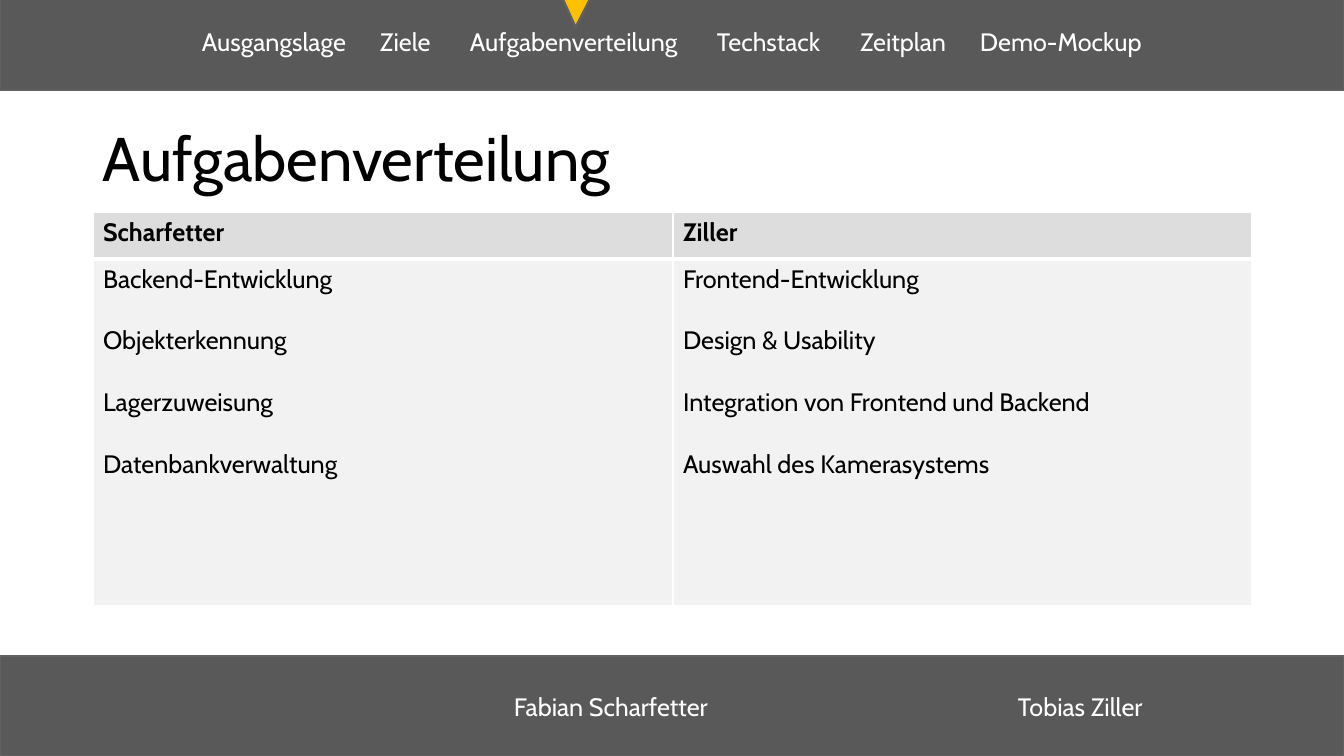
from lxml.etree import SubElement
from pptx import Presentation
from pptx.dml.color import RGBColor
from pptx.enum.shapes import MSO_SHAPE
from pptx.enum.text import MSO_ANCHOR
from pptx.oxml.ns import qn
from pptx.util import Pt

EMU_PER_PX = 914400 / 100.8
FONT = "Cabin"
WHITE, BLACK = "FFFFFF", "000000"
BAR, OUTLINE, MARKER = "595959", "616161", "FFC000"
HEADER_FILL, BODY_FILL = "DDDDDD", "F2F2F2"

# Each label with the px from the left edge where it starts
NAVIGATION = [("Ausgangslage", 202), ("Ziele", 380), ("Aufgabenverteilung", 470),
              ("Techstack", 717), ("Zeitplan", 860), ("Demo-Mockup", 980)]
AUTHORS = [("Fabian Scharfetter", 514), ("Tobias Ziller", 1018)]
TASKS = {
    "Scharfetter": ["Backend-Entwicklung", "Objekterkennung",
                    "Lagerzuweisung", "Datenbankverwaltung"],
    "Ziller": ["Frontend-Entwicklung", "Design & Usability",
               "Integration von Frontend und Backend", "Auswahl des Kamerasystems"],
}


def px(length):
    return round(length * EMU_PER_PX)


def color(value):
    return RGBColor.from_string(value)


def write(frame, lines, size=18, fill=BLACK, bold=False, gap=0, spacing=None):
    """Write one paragraph per line, with gap points between them."""
    frame.word_wrap = True
    for index, line in enumerate(lines):
        paragraph = frame.paragraphs[0] if index == 0 else frame.add_paragraph()
        paragraph.line_spacing = spacing
        paragraph.space_before = Pt(gap if index else 0)
        run = paragraph.add_run()
        run.text = line
        run.font.name = FONT
        run.font.size = Pt(size)
        run.font.bold = bold
        run.font.color.rgb = color(fill)


def add_block(slide, kind, box, fill):
    shape = slide.shapes.add_shape(kind, *map(px, box))
    shape.shadow.inherit = False
    shape.fill.solid()
    shape.fill.fore_color.rgb = color(fill)
    shape.line.color.rgb = color(OUTLINE)
    shape.line.width = Pt(1.5)
    return shape


def add_bar(slide, box, labels):
    """Dark bar whose labels sit on tab stops."""
    frame = add_block(slide, MSO_SHAPE.RECTANGLE, box, BAR).text_frame
    frame.margin_left = frame.margin_right = 0
    frame.vertical_anchor = MSO_ANCHOR.MIDDLE
    write(frame, ["".join("\t" + text for text, _ in labels)], fill=WHITE)
    properties = frame.paragraphs[0]._p.get_or_add_pPr()
    properties.set("algn", "l")
    stops = SubElement(properties, qn("a:tabLst"))
    for _, start in labels:
        SubElement(stops, qn("a:tab"), pos=str(px(start - box[0])), algn="l")


def add_marker(slide, box):
    """Triangle pointing down at the current section."""
    marker = add_block(slide, MSO_SHAPE.ISOSCELES_TRIANGLE, box, MARKER)
    marker.adjustments[0] = 0.53
    marker.rotation = 180


def add_title(slide, box, text):
    frame = slide.shapes.add_textbox(*map(px, box)).text_frame
    frame.vertical_anchor = MSO_ANCHOR.MIDDLE
    write(frame, [text], size=44, spacing=0.9)


def style_cell(cell, fill, borders):
    cell.fill.solid()
    cell.fill.fore_color.rgb = color(fill)
    properties = cell._tc.get_or_add_tcPr()
    for index, (side, width) in enumerate(borders.items()):
        line = SubElement(properties, qn("a:ln" + side), w=str(Pt(width)))
        solid = SubElement(line, qn("a:solidFill"))
        SubElement(solid, qn("a:srgbClr"), val=WHITE)
        properties.insert(index, line)  # borders come before the fill


def add_task_table(slide, box, widths, heights):
    table = slide.shapes.add_table(2, len(TASKS), *map(px, box)).table
    table.first_row = table.horz_banding = False
    for row, height in zip(table.rows, heights):
        row.height = px(height)
    for index, (person, tasks) in enumerate(TASKS.items()):
        table.columns[index].width = px(widths[index])
        header, body = table.cell(0, index), table.cell(1, index)
        write(header.text_frame, [person], bold=True)
        write(body.text_frame, tasks, gap=22)
        style_cell(header, HEADER_FILL, {"L": 1, "R": 1, "T": 1, "B": 3})
        style_cell(body, BODY_FILL, {"L": 1, "R": 1, "T": 3, "B": 1})


def main():
    presentation = Presentation()
    presentation.slide_width, presentation.slide_height = px(1344), px(756)
    slide = presentation.slides.add_slide(presentation.slide_layouts[6])

    # Header and footer
    add_bar(slide, (0, -8, 1344, 98), NAVIGATION)
    add_bar(slide, (0, 656, 1344, 100), AUTHORS)

    # Content
    add_task_table(slide, (93, 212, 1159, 394), widths=(580, 579), heights=(47, 347))
    add_title(slide, (93, 89, 1159, 146), "Aufgabenverteilung")
    add_marker(slide, (562, -3, 29, 30))

    presentation.save("out.pptx")


if __name__ == "__main__":
    main()
